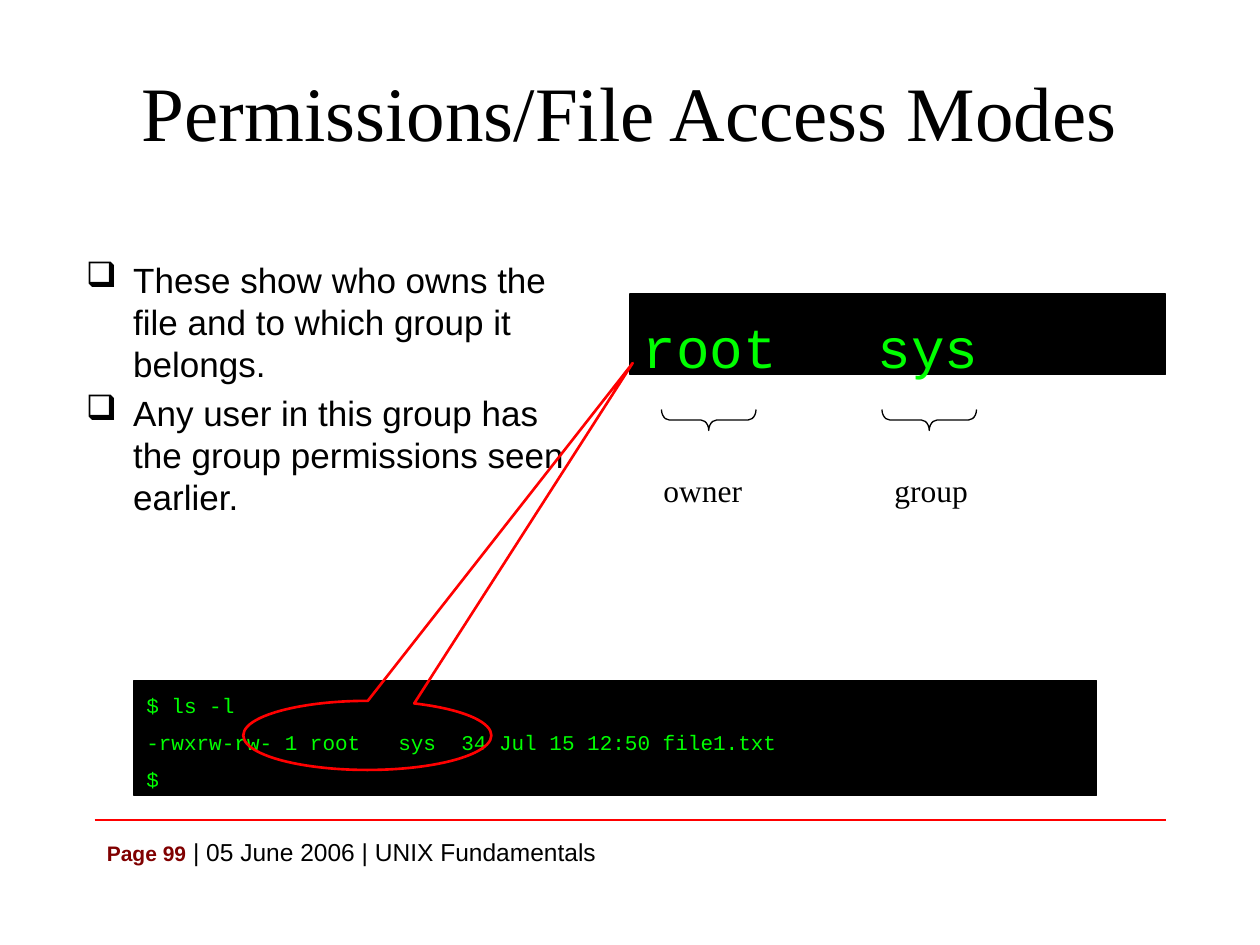
from lxml import etree
from pptx import Presentation
from pptx.dml.color import RGBColor
from pptx.enum.shapes import MSO_CONNECTOR, MSO_SHAPE
from pptx.enum.text import MSO_ANCHOR, PP_ALIGN
from pptx.oxml.ns import qn
from pptx.util import Pt

STRAIGHT = MSO_CONNECTOR.STRAIGHT
RECTANGLE, BRACE = MSO_SHAPE.RECTANGLE, MSO_SHAPE.LEFT_BRACE
CALLOUT = MSO_SHAPE.OVAL_CALLOUT
TOP, MIDDLE = MSO_ANCHOR.TOP, MSO_ANCHOR.MIDDLE
LEFT, CENTER = PP_ALIGN.LEFT, PP_ALIGN.CENTER
BLACK, RED, GREEN, MAROON = "000000", "FF0000", "00FF00", "800000"


def rgb(value):
    """Turn a hex string into a colour."""
    return RGBColor.from_string(value)


def set_font(font, name, size, color, bold=False):
    """Set the typeface, size, colour and weight of a font."""
    font.name, font.size, font.bold = name, Pt(size), bold
    font.color.rgb = rgb(color)


def fill_text(shape, lines, name, size, color, align=LEFT, anchor=TOP,
              gap=0, top_inset=3.6):
    """Write one paragraph per line and return the paragraphs."""
    frame = shape.text_frame
    frame.word_wrap = True
    frame.vertical_anchor = anchor
    frame.margin_top = Pt(top_inset)
    frame.text = "\n".join(lines)
    for index, paragraph in enumerate(frame.paragraphs):
        paragraph.alignment = align
        paragraph.space_before = Pt(gap if index else 0)
        set_font(paragraph.font, name, size, color)
    return frame.paragraphs


def add_text(slide, box, lines, name, size, **options):
    """Add a black text box."""
    shape = slide.shapes.add_textbox(*map(Pt, box))
    return fill_text(shape, lines, name, size, BLACK, **options)


def add_bullets(slide, box, lines):
    """Add a list with hollow square bullets."""
    shape = slide.shapes.add_textbox(*map(Pt, box))
    shape.text_frame.text = "\n".join(lines)
    for paragraph in fill_text(shape, lines, "Arial", 20, BLACK, gap=4):
        paragraph.line_spacing = Pt(24)
        properties = paragraph._p.get_or_add_pPr()
        properties.set("marL", str(Pt(27)))
        properties.set("indent", str(Pt(-27)))
        bullet = etree.Element(qn("a:buChar"), char="❑")
        properties.find(qn("a:defRPr")).addprevious(bullet)


def add_outline(slide, kind, box, color, width, adjustments=()):
    """Add an unfilled preset shape."""
    shape = slide.shapes.add_shape(kind, *map(Pt, box))
    shape.shadow.inherit = False
    shape.fill.background()
    shape.line.color.rgb = rgb(color)
    shape.line.width = Pt(width)
    for index, value in enumerate(adjustments):
        shape.adjustments[index] = value
    return shape


def add_terminal(slide, box, lines, size, top_inset):
    """Add a black panel of green terminal text."""
    shape = add_outline(slide, RECTANGLE, box, BLACK, 0.75)
    shape.fill.solid()
    shape.fill.fore_color.rgb = rgb(BLACK)
    fill_text(shape, lines, "Courier New", size, GREEN,
              gap=6.8, top_inset=top_inset)


def add_brace_label(slide, brace_left, label_left, label):
    """Add a brace opening upwards with its label below."""
    brace = add_outline(slide, BRACE, (brace_left, 213, 12, 54),
                        BLACK, 0.75, (0.375, 0.5))
    brace.rotation = 270
    add_text(slide, (label_left, 264, 60, 29), [label],
             "Times New Roman", 18, top_inset=4.9)


def add_footer(slide):
    """Add the footer rule and the page line."""
    rule = slide.shapes.add_connector(STRAIGHT, Pt(54), Pt(468.5),
                                      Pt(666), Pt(468.5))
    rule.line.color.rgb = rgb(RED)
    rule.line.width = Pt(1.5)
    etree.SubElement(rule._element.spPr, qn("a:effectLst"))
    shape = slide.shapes.add_textbox(Pt(54), Pt(474.5), Pt(612), Pt(39.5))
    shape.text_frame.word_wrap = True
    paragraph = shape.text_frame.paragraphs[0]
    for text, size, color, bold in (
            ("Page 99", 12, MAROON, True),
            (" | 05 June 2006 | UNIX Fundamentals", 14, BLACK, False)):
        run = paragraph.add_run()
        run.text = text
        set_font(run.font, "Arial", size, color, bold)


def main():
    """Build the slide and save it."""
    presentation = Presentation()
    presentation.slide_width, presentation.slide_height = Pt(720), Pt(540)
    slide = presentation.slides.add_slide(presentation.slide_layouts[6])
    add_footer(slide)
    add_text(slide, (54, 37.5, 612, 52), ["Permissions/File Access Modes"],
             "Times New Roman", 44, align=CENTER, anchor=MIDDLE)
    add_bullets(slide, (42, 144, 300, 126), [
        "These show who owns the file and to which group it belongs.",
        "Any user in this group has the group permissions seen earlier."])
    add_terminal(slide, (76.5, 389, 550, 65.5), [
        "$ ls -l",
        "-rwxrw-rw- 1 root\tsys\t34 Jul 15 12:50 file1.txt",
        "$"], 12, 6.5)
    add_terminal(slide, (360, 168, 306, 46), ["root   sys"], 32, 10.7)
    add_brace_label(slide, 399, 372, "owner")
    add_brace_label(slide, 525, 504, "group")
    add_outline(slide, CALLOUT, (139, 400.5, 141.75, 39.5), RED, 1.5,
                (1.07, -5.39))
    presentation.save("out.pptx")


if __name__ == "__main__":
    main()
